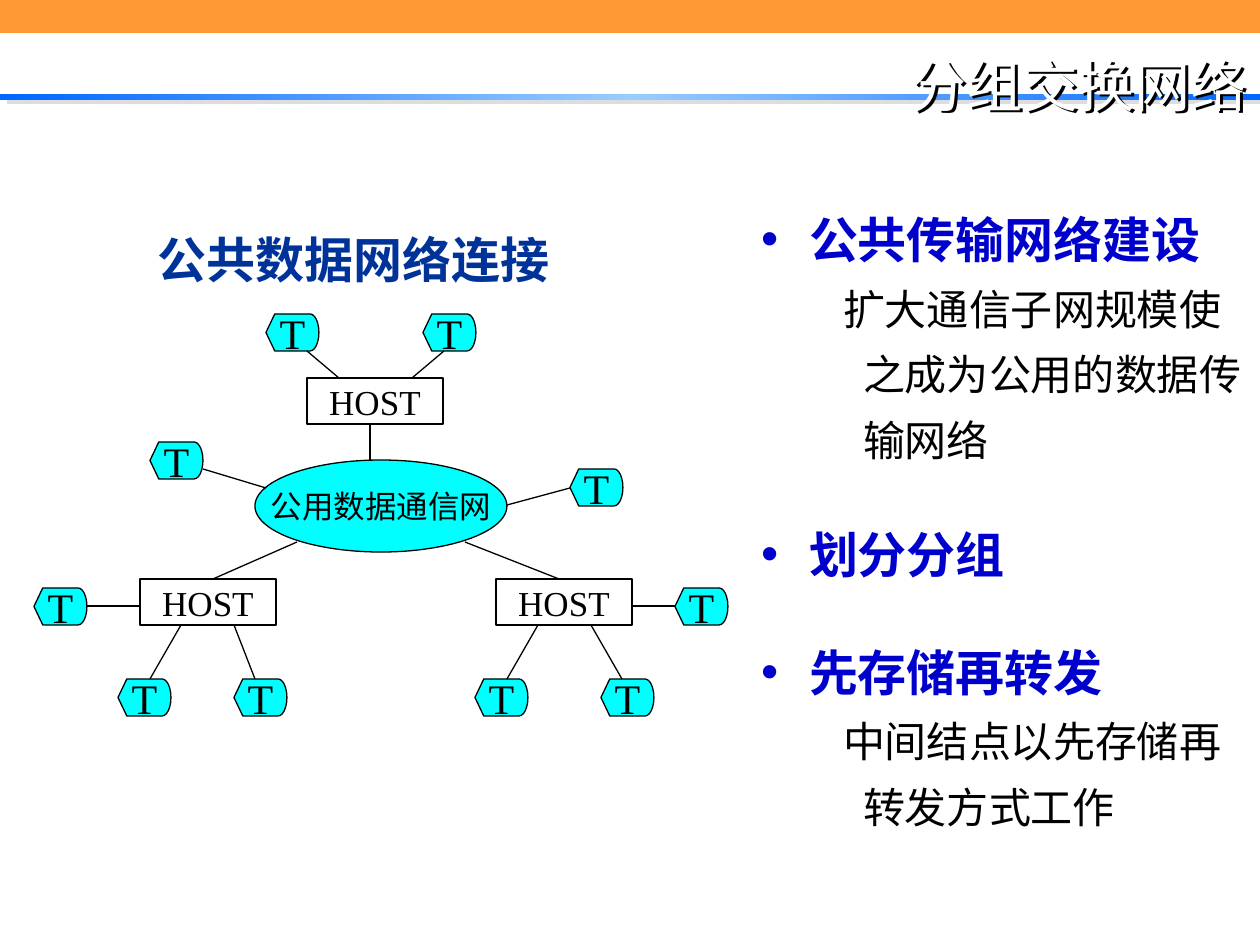
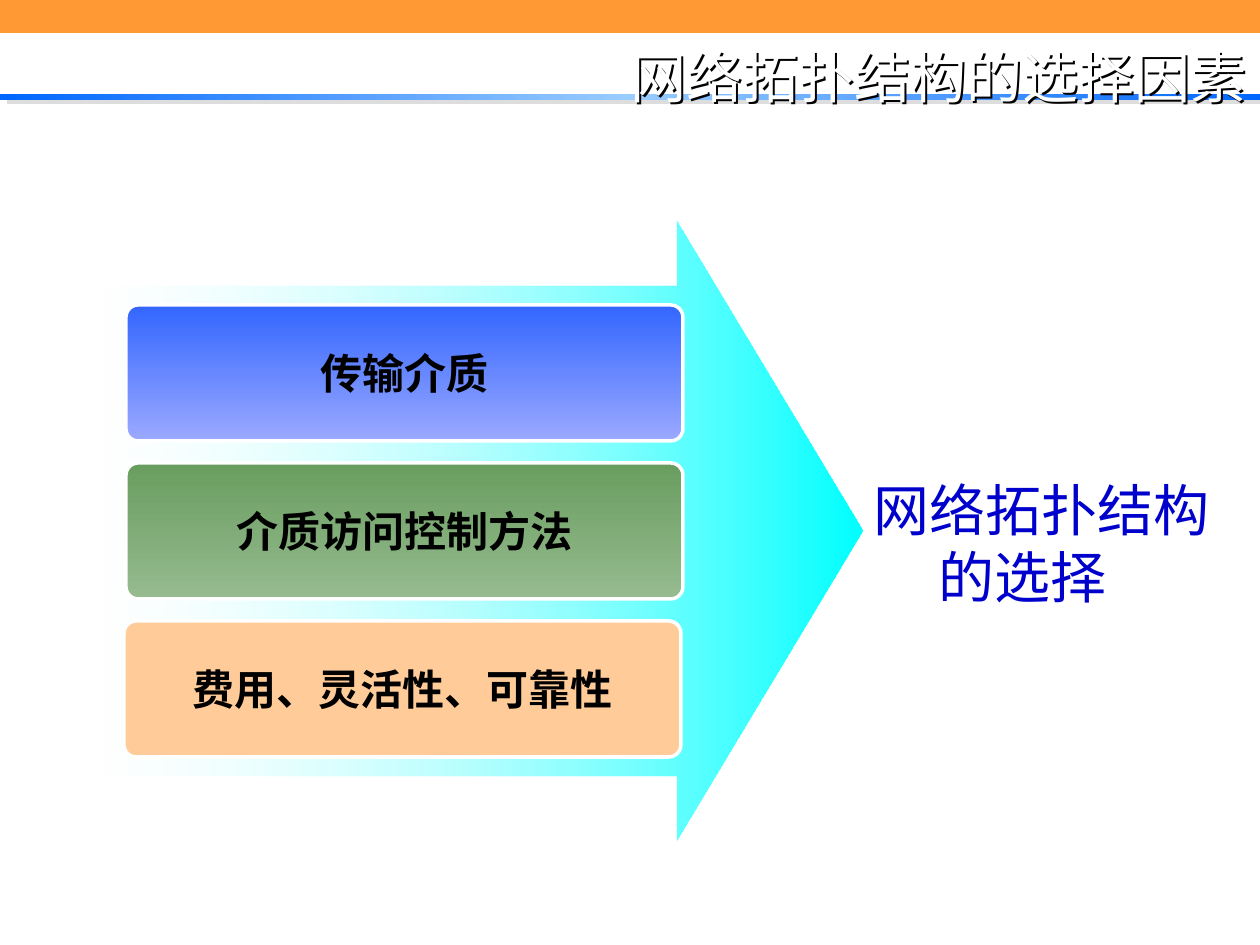
from lxml import etree
from pptx import Presentation
from pptx.dml.color import RGBColor
from pptx.enum import shapes, text
from pptx.oxml import ns
from pptx.util import Emu, Pt

COLORS = {
    "white": "FFFFFF", "black": "000000", "orange": "FF9933",
    "shadow": "DDDDDD", "bar": "0066FF", "bar_light": "99CCFF",
    "cyan": "00FFFF", "caption": "003399", "heading": "0000CC",
    "blue": "3366FF", "blue_light": "9BA9FF",
    "green": "699D5F", "green_light": "96BB8F", "peach": "FFCC99",
}
SERIF, SANS, CHINESE = "Times New Roman", "Arial", "Noto Sans CJK SC"
PX = 914400 / 126
KIND = shapes.MSO_SHAPE
ALIGN = text.PP_ALIGN
MIDDLE = text.MSO_ANCHOR.MIDDLE
NO_MARGINS = {f"margin_{side}": 0 for side in ("left", "top", "right", "bottom")}
CENTERED = {"vertical_anchor": MIDDLE, "word_wrap": False, **NO_MARGINS}


def emu(px):
    return Emu(round(px * PX))


def assign(target, values):
    for name, value in values.items():
        setattr(target, name, value)


def child(parent, tag, **attributes):
    return etree.SubElement(parent, ns.qn(tag), attributes)


def add_color(parent, color):
    return child(parent, "a:srgbClr", val=COLORS[color])


def add_shadow(shape, color, distance, angle):
    properties = shape.fill._xPr
    for effects in properties.findall(ns.qn("a:effectLst")):
        properties.remove(effects)
    effects = child(properties, "a:effectLst")
    shadow = child(effects, "a:outerShdw", dist=str(Pt(distance)),
                   dir=str(angle * 60000), algn="ctr", rotWithShape="0")
    add_color(shadow, color)


class SlideBuilder:
    def __init__(self):
        self.deck = Presentation()
        self.deck.slide_width, self.deck.slide_height = emu(1260), emu(945)
        self.page = None

    def new_page(self, title, title_top):
        self.page = self.deck.slides.add_slide(self.deck.slide_layouts[6])
        stops = [(0, "bar", 100), (50, "bar_light", 100), (100, "bar", 100)]
        bar = self.shape(KIND.RECTANGLE, (0, 94, 1260, 6), (stops, 0), None)
        add_shadow(bar, "shadow", 4.5, 27)
        self.shape(KIND.RECTANGLE, (0, 0, 1260, 33), "orange", None)
        box = self.text_box((199, title_top, 1061, 100), {"vertical_anchor": MIDDLE})
        add_shadow(box, "black", 2, 45)
        self.paragraph(box, title, 32, "white", SANS, align=ALIGN.RIGHT)

    def paint(self, shape, fill):
        if isinstance(fill, str):
            shape.fill.solid()
            shape.fill.fore_color.rgb = RGBColor.from_string(COLORS[fill])
            return
        stops, angle = fill
        shape.fill.gradient()
        shape.fill.gradient_angle = -angle % 360
        stop_list = shape.fill._xPr.find(".//" + ns.qn("a:gsLst"))
        stop_list[:] = []
        for position, color, opacity in stops:
            stop = child(stop_list, "a:gs", pos=str(position * 1000))
            tint = add_color(stop, color)
            if opacity < 100:
                child(tint, "a:alpha", val=str(opacity * 1000))

    def stroke(self, line, color, width):
        line.color.rgb = RGBColor.from_string(COLORS[color])
        line.width = Pt(width)

    def shape(self, kind, place, fill, outline=("black", 0.75), adjust=()):
        shape = self.page.shapes.add_shape(kind, *map(emu, place))
        for index, value in enumerate(adjust):
            shape.adjustments[index] = value
        self.paint(shape, fill)
        if outline:
            self.stroke(shape.line, *outline)
        else:
            shape.line.fill.background()
        shape.shadow.inherit = False
        return shape

    def labeled(self, label, size, font, *args, bold=False, **options):
        shape = self.shape(*args, **options)
        assign(shape.text_frame, CENTERED)
        self.paragraph(shape, label, size, "black", font, bold, ALIGN.CENTER)

    def text_box(self, place, frame_format):
        box = self.page.shapes.add_textbox(*map(emu, place))
        box.fill.background()
        margins = {"margin_left": emu(13), "margin_right": emu(13),
                   "margin_top": emu(6), "margin_bottom": emu(6)}
        assign(box.text_frame, {"word_wrap": True, **margins, **frame_format})
        return box

    def paragraph(self, box, words, size, color, font, bold=False, align=ALIGN.LEFT,
                  spacing=None, before=0, indent=(0, 0), bullet=None):
        frame = box.text_frame
        para = frame.add_paragraph() if frame.text else frame.paragraphs[0]
        assign(para, {"alignment": align, "space_before": Pt(before)})
        if spacing:
            para.line_spacing = Pt(spacing)
        properties = para._p.get_or_add_pPr()
        for name, value in zip(("marL", "indent"), indent):
            properties.set(name, str(emu(value)))
        if bullet:
            child(properties, "a:buFont", typeface=SANS)
            child(properties, "a:buChar", char=bullet)
        span = para.add_run()
        span.text = words
        assign(span.font, {"size": Pt(size), "bold": bold, "name": font})
        span.font.color.rgb = RGBColor.from_string(COLORS[color])
        child(span.font._element, "a:ea", typeface=CHINESE)

    def link(self, *ends):
        line = self.page.shapes.add_connector(shapes.MSO_CONNECTOR.STRAIGHT, *map(emu, ends))
        self.stroke(line.line, "black", 0.75)
        child(line.line._get_or_add_ln().getparent(), "a:effectLst")


def packet_network(builder):
    builder.new_page("分组交换网络", 35)
    builder.labeled("公用数据通信网", 18, SERIF, KIND.OVAL, (255, 460, 252, 92), "cyan")
    for left, top in [(140, 579), (307, 378), (496, 579)]:
        builder.labeled("HOST", 20, SERIF, KIND.RECTANGLE, (left, top, 136, 46), "white")
    terminals = [(266, 314), (423, 314), (150, 442), (570, 469), (34, 588),
                 (675, 588), (118, 679), (234, 679), (475, 679), (601, 679)]
    for left, top in terminals:
        builder.labeled("T", 24, SERIF, KIND.FLOWCHART_DISPLAY, (left, top, 53, 37), "cyan")
    links = [(370, 424, 370, 460), (213, 579, 297, 542), (559, 579, 465, 542),
             (307, 351, 339, 378), (444, 351, 412, 378), (203, 469, 266, 488),
             (570, 488, 507, 505), (140, 606, 87, 606), (675, 606, 633, 606),
             (150, 679, 181, 625), (234, 625, 255, 679),
             (507, 679, 538, 625), (591, 625, 622, 679)]
    for ends in links:
        builder.link(*ends)
    caption = builder.text_box((145, 224, 443, 64), {})
    builder.paragraph(caption, "公共数据网络连接", 28, "caption", SERIF, True)

    points = [("公共传输网络建设", "扩大通信子网规模使之成为公用的数据传输网络"),
              ("划分分组", None),
              ("先存储再转发", "中间结点以先存储再转发方式工作")]
    box = builder.text_box((748, 203, 512, 640), {})
    for index, (heading, detail) in enumerate(points):
        builder.paragraph(box, heading, 28, "heading", CHINESE, True, spacing=34,
                          before=33.5 if index else 0, indent=(48, -48), bullet="•")
        if detail:
            builder.paragraph(box, detail, 24, "black", CHINESE,
                              spacing=37.4, indent=(102, -20))


def topology_factors(builder):
    builder.new_page("网络拓扑结构的选择因素", 26)
    fade = [(0, "white", 24), (100, "cyan", 100)]
    builder.shape(KIND.RIGHT_ARROW, (105, 221, 757, 620), (fade, 0), None, (0.79, 0.3))
    factors = [
        ("传输介质", 126, ([(0, "blue", 100), (100, "blue_light", 100)], 90)),
        ("介质访问控制方法", 126, ([(0, "green", 100), (100, "green_light", 100)], 90)),
        ("费用、灵活性、可靠性", 124, "peach"),
    ]
    for row, (factor, left, fill) in enumerate(factors):
        builder.labeled(factor, 24, SANS, KIND.ROUNDED_RECTANGLE,
                        (left, 305 + 158 * row, 557, 136), fill, bold=True,
                        outline=("white", 2), adjust=[0.09])
    result = builder.text_box((785, 448, 475, 190), {"vertical_anchor": MIDDLE})
    for words, shift in [("网络拓扑结构", 38), ("的选择", 0)]:
        builder.paragraph(result, words, 32, "heading", CHINESE, align=ALIGN.CENTER,
                          spacing=38.3, indent=(shift, 0))


def main():
    builder = SlideBuilder()
    packet_network(builder)
    topology_factors(builder)
    builder.deck.save("out.pptx")


if __name__ == "__main__":
    main()
